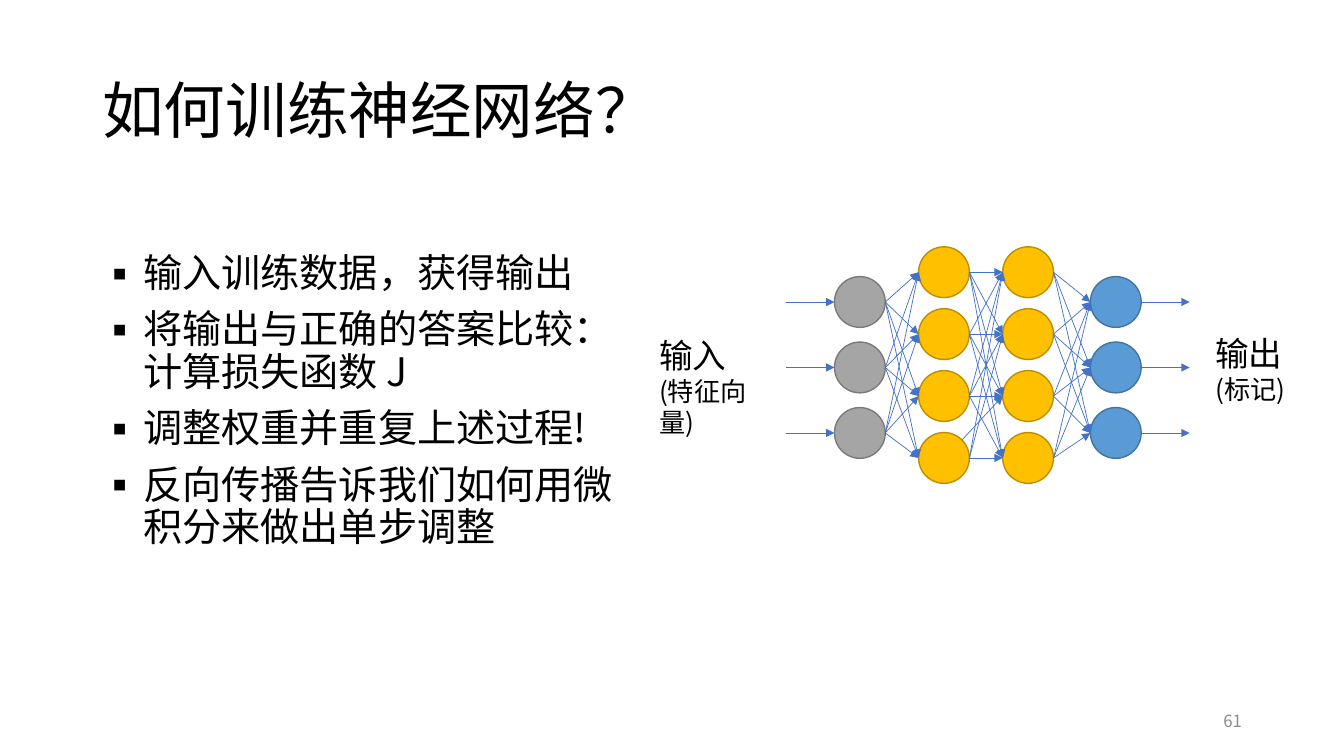
from dataclasses import dataclass
from itertools import product

from lxml.etree import SubElement as Sub
from pptx import Presentation
from pptx.dml.color import RGBColor as RGB
from pptx.enum.shapes import MSO_CONNECTOR as Conn, MSO_SHAPE as Kind
from pptx.enum.text import MSO_ANCHOR as Anchor, PP_ALIGN as Align
from pptx.oxml.ns import qn
from pptx.util import Cm, Pt

FONT = "Noto Sans CJK SC"
BLACK = RGB(0x00, 0x00, 0x00)
PALE = RGB(0x8C, 0x8C, 0x8C)
BLUE = RGB(0x44, 0x72, 0xC4)
GREY = RGB(0xA5, 0xA5, 0xA5)
GREY_EDGE = RGB(0x7A, 0x7A, 0x7A)
GOLD = RGB(0xFF, 0xC0, 0x00)
GOLD_EDGE = RGB(0xBD, 0x8E, 0x00)
SKY = RGB(0x5B, 0x9B, 0xD5)
SKY_EDGE = RGB(0x43, 0x73, 0x9E)

SIZE = 1.28
REACH = 1.22
INDENT = 1.07


@dataclass
class Layer:
    left: float
    mid: float
    gap: float
    count: int
    fill: RGB
    edge: RGB

    @property
    def right(self) -> float:
        return self.left + SIZE

    @property
    def rows(self) -> list[float]:
        first = self.mid - self.gap * (self.count - 1) / 2
        return [first + self.gap * i for i in range(self.count)]


@dataclass
class Block:
    left: float
    top: float
    width: float
    height: float
    lines: list[tuple[str, float]]
    color: RGB = BLACK
    anchor: Anchor = Anchor.TOP
    align: Align = Align.LEFT
    space: float = 1.0
    before: float = 0
    bullet: str = ""


LAYERS = [
    Layer(21.03, 9.26, 1.65, 3, GREY, GREY_EDGE),
    Layer(23.15, 9.2, 1.56, 4, GOLD, GOLD_EDGE),
    Layer(25.27, 9.2, 1.56, 4, GOLD, GOLD_EDGE),
    Layer(27.48, 9.26, 1.65, 3, SKY, SKY_EDGE),
]

STEPS = [
    "输入训练数据，获得输出",
    "将输出与正确的答案比较：计算损失函数 J",
    "调整权重并重复上述过程!",
    "反向传播告诉我们如何用微积分来做出单步调整",
]

BLOCKS = [
    Block(23.93, 17.65, 7.62, 1.01, [("61", 12)], color=PALE,
          anchor=Anchor.MIDDLE, align=Align.RIGHT),
    Block(2.33, 1.01, 29.21, 3.68, [("如何训练神经网络？", 44)],
          anchor=Anchor.MIDDLE, space=0.9),
    Block(2.29, 6.27, 13.89, 12.88, [(step, 28) for step in STEPS],
          space=0.9, before=10, bullet="▪"),
    Block(16.36, 8.31, 3.53, 2.08, [("输入", 24), ("(特征向量)", 18.7)]),
    Block(30.38, 8.26, 4.32, 2.08, [("输出", 24), ("(标记)", 18.7)]),
]


def write(shapes, block: Block) -> None:
    box = shapes.add_textbox(Cm(block.left), Cm(block.top),
                             Cm(block.width), Cm(block.height))
    frame = box.text_frame
    frame.word_wrap = True
    frame.vertical_anchor = block.anchor
    for i, (text, size) in enumerate(block.lines):
        para = frame.add_paragraph() if i else frame.paragraphs[0]
        para.text = text
        if block.bullet:
            props = para._p.get_or_add_pPr()
            props.set("marL", str(Cm(INDENT)))
            props.set("indent", str(-Cm(INDENT)))
            Sub(props, qn("a:buFont"), typeface=FONT)
            Sub(props, qn("a:buChar"), char=block.bullet)
        para.alignment = block.align
        para.line_spacing = block.space
        para.space_before = Pt(block.before)
        font = para.font
        font.size = Pt(size)
        font.color.rgb = block.color
        font.name = FONT
        Sub(font._element, qn("a:ea"), typeface=FONT)


def arrow(shapes, x: float, y: float, end: float, drop: float) -> None:
    link = shapes.add_connector(Conn.STRAIGHT, Cm(x), Cm(y), Cm(end), Cm(drop))
    link.line.color.rgb = BLUE
    link.line.width = Pt(0.5)
    Sub(link.line._get_or_add_ln(), qn("a:tailEnd"), type="triangle")
    Sub(link._element.spPr, qn("a:effectLst"))


def node(shapes, layer: Layer, y: float) -> None:
    ball = shapes.add_shape(Kind.OVAL, Cm(layer.left), Cm(y - SIZE / 2),
                            Cm(SIZE), Cm(SIZE))
    ball.shadow.inherit = False
    ball.fill.solid()
    ball.fill.fore_color.rgb = layer.fill
    ball.line.color.rgb = layer.edge
    ball.line.width = Pt(1)


def network(shapes) -> None:
    first, inner, outer, last = LAYERS
    for layer in LAYERS:
        for y in layer.rows:
            node(shapes, layer, y)
    for a, b in zip(LAYERS, LAYERS[1:]):
        for y, drop in product(a.rows, b.rows):
            if a is inner and y == a.rows[3] and drop == outer.rows[2]:
                arrow(shapes, a.right - 0.19, y - 0.45, b.left, drop)
            else:
                arrow(shapes, a.right, y, b.left, drop)
    for y in first.rows:
        arrow(shapes, first.left - REACH, y, first.left, y)
    for y in last.rows:
        arrow(shapes, last.right, y, last.right + REACH, y)


def main() -> None:
    deck = Presentation()
    deck.slide_width = Cm(33.87)
    deck.slide_height = Cm(19.05)
    shapes = deck.slides.add_slide(deck.slide_layouts[6]).shapes
    for block in BLOCKS:
        write(shapes, block)
    network(shapes)
    deck.save("out.pptx")


if __name__ == "__main__":
    main()
